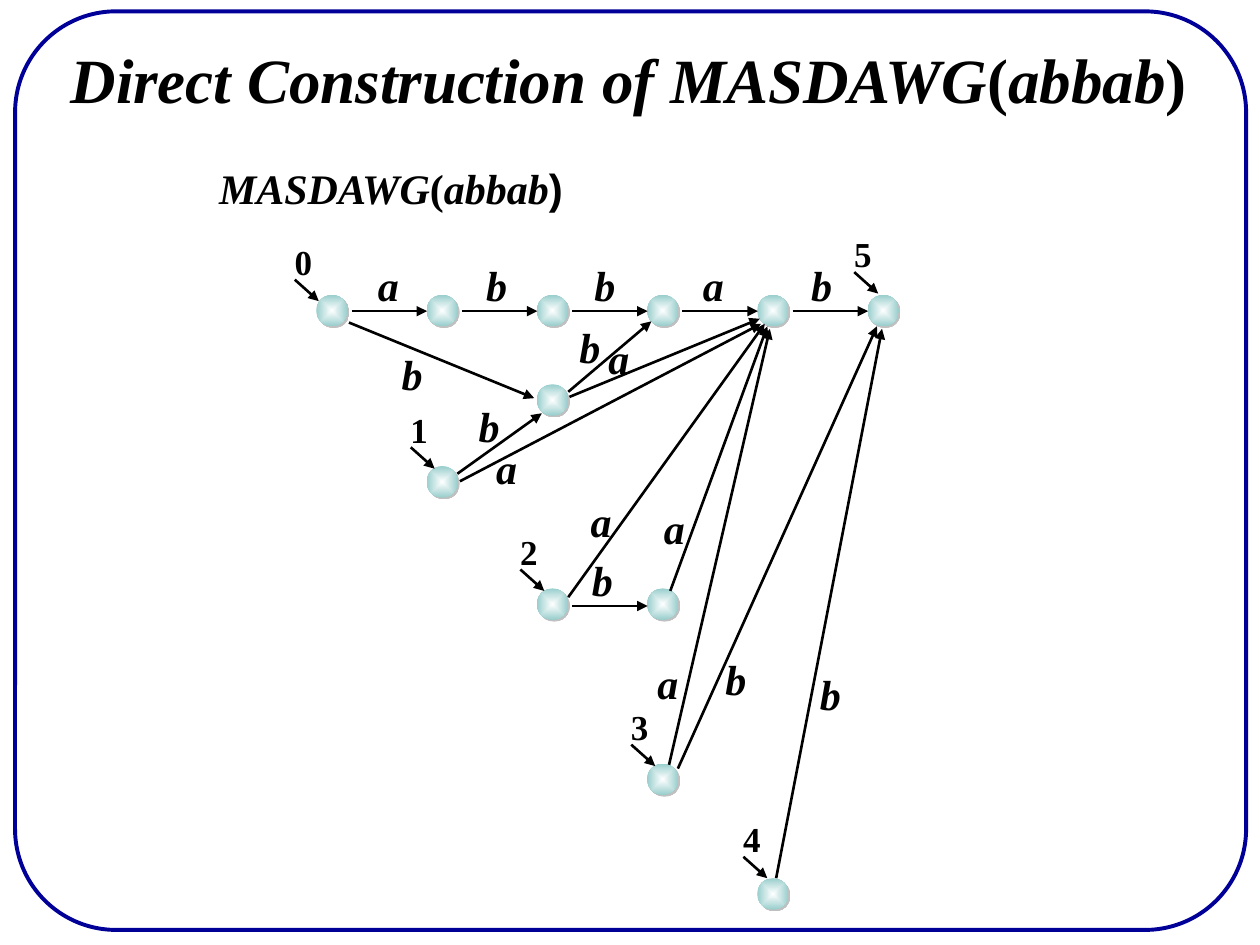
from lxml import etree
from pptx import Presentation
from pptx.dml.color import RGBColor
from pptx.enum.shapes import MSO_CONNECTOR, MSO_SHAPE
from pptx.enum.text import MSO_ANCHOR, PP_ALIGN
from pptx.oxml import parse_xml
from pptx.oxml.ns import qn
from pptx.util import Inches, Pt

BLACK = RGBColor(0, 0, 0)
WHITE = RGBColor(255, 255, 255)
NAVY = RGBColor(0, 0, 0x99)
TEAL = RGBColor(0x97, 0xCD, 0xCC)
SERIF = "Times New Roman"
SANS = "Arial"
SPACE = 'xmlns:a="http://schemas.openxmlformats.org/drawingml/2006/main"'
GLOW = (f'<a:path {SPACE} path="rect"><a:fillToRect l="50000" t="50000" '
        'r="50000" b="50000"/></a:path>')
SHADE = (f'<a:outerShdw {SPACE} dist="17780" dir="2700000" algn="ctr" '
         'rotWithShape="0"><a:srgbClr val="C0C0C0"/></a:outerShdw>')

LEFT, STEP, SIZE = 2.51, 0.875, 0.25
NODES = [(col, 2.34) for col in range(6)] + [
    (2, 3.05), (1, 3.70), (2, 4.67), (3, 4.67), (3, 6.06), (4, 6.97)]
STARTS = [
    ("0", 2.34, 2.22), ("1", 3.26, 3.55), ("2", 4.13, 4.52),
    ("3", 5.01, 5.91), ("4", 5.90, 6.80), ("5", 6.78, 2.16)]
SLANTS = [
    ("b", (2.77, 2.56), (4.24, 3.16), (3.09, 2.72)),
    ("b", (3.63, 3.76), (4.30, 3.28), (3.70, 3.13)),
    ("b", (4.51, 3.11), (5.17, 2.55), (4.50, 2.50)),
    ("a", (4.52, 3.15), (6.03, 2.53), (4.73, 2.59)),
    ("a", (3.65, 3.82), (6.04, 2.57), (3.84, 3.46)),
    ("a", (4.51, 4.74), (6.07, 2.57), (4.59, 3.88)),
    ("a", (5.32, 4.69), (6.09, 2.59), (5.17, 3.94)),
    ("a", (5.31, 6.07), (6.11, 2.61), (5.12, 5.17)),
    ("b", (5.38, 6.10), (6.96, 2.59), (5.66, 5.14)),
    ("b", (6.16, 6.97), (7.00, 2.61), (6.41, 5.26))]


def write(shape, runs, size):
    frame = shape.text_frame
    frame.word_wrap = False
    frame.vertical_anchor = MSO_ANCHOR.TOP
    para = frame.paragraphs[0]
    para.alignment = PP_ALIGN.LEFT
    for text, slant, face in runs:
        run = para.add_run()
        run.text = text
        font = run.font
        font.name = face
        font.size = Pt(size)
        font.bold = True
        font.italic = slant
        font.color.rgb = BLACK


def add_text(slide, x, y, w, h, runs, size):
    box = slide.shapes.add_textbox(Inches(x), Inches(y), Inches(w), Inches(h))
    write(box, runs, size)


def add_frame(slide):
    frame = slide.shapes.add_shape(
        MSO_SHAPE.ROUNDED_RECTANGLE,
        Inches(0.12), Inches(0.09), Inches(9.77), Inches(7.29))
    frame.adjustments[0] = 0.11
    frame.shadow.inherit = False
    frame.fill.background()
    frame.line.color.rgb = NAVY
    frame.line.width = Pt(2.24)


def add_title(slide, runs):
    title = slide.shapes.title
    title.left, title.top = Inches(0.46), Inches(0.27)
    title.width, title.height = Inches(9.1), Inches(0.7)
    write(title, runs, 36)


def add_node(slide, col, y):
    node = slide.shapes.add_shape(
        MSO_SHAPE.OVAL, Inches(LEFT + col * STEP), Inches(y),
        Inches(SIZE), Inches(SIZE))
    node.line.fill.background()
    node.fill.gradient()
    for stop, color, place in zip(node.fill.gradient_stops, (WHITE, TEAL), (0, 1)):
        stop.color.rgb = color
        stop.position = place
    grad = node._element.spPr.find(qn("a:gradFill"))
    grad.replace(grad.find(qn("a:lin")), parse_xml(GLOW))
    node.shadow.inherit = False
    node._element.spPr.find(qn("a:effectLst")).append(parse_xml(SHADE))


def add_arrow(slide, start, end):
    points = [Inches(n) for n in (*start, *end)]
    arrow = slide.shapes.add_connector(MSO_CONNECTOR.STRAIGHT, *points)
    arrow.line.color.rgb = BLACK
    arrow.line.width = Pt(1.5)
    etree.SubElement(arrow.line._get_or_add_ln(), qn("a:tailEnd"), type="triangle")
    etree.SubElement(arrow._element.spPr, qn("a:effectLst"))


def add_edge(slide, name, start, end, spot):
    add_arrow(slide, start, end)
    add_text(slide, *spot, 0.36, 0.5, [(name, True, SERIF)], 24)


def add_level(slide, name, col, y, x):
    start = LEFT + col * STEP + 0.28
    add_edge(slide, name, (start, y), (start + 0.6, y), (x, y - 0.46))


def add_start(slide, name, x, y):
    add_arrow(slide, (x, y), (x + 0.19, y + 0.17))
    add_text(slide, x - 0.1, y - 0.36, 0.34, 0.44, [(name, False, SERIF)], 20)


def main():
    deck = Presentation()
    deck.slide_width, deck.slide_height = Inches(10), Inches(7.5)
    slide = deck.slides.add_slide(deck.slide_layouts[5])
    call = [("(", False, SERIF), ("abbab", True, SERIF)]
    add_frame(slide)
    add_title(slide, [("Direct Construction of MASDAWG", True, SERIF),
                      *call, (")", False, SERIF)])
    add_text(slide, 1.64, 1.24, 2.98, 0.5,
             [("MASDAWG", True, SERIF), *call, (")", False, SANS)], 24)
    for node in NODES:
        add_node(slide, *node)
    for col, name in enumerate("abbab"):
        add_level(slide, name, col, 2.47, 2.9 + col * 0.86)
    add_level(slide, "b", 2, 4.81, 4.6)
    for edge in SLANTS:
        add_edge(slide, *edge)
    for start in STARTS:
        add_start(slide, *start)
    deck.save("out.pptx")


main()
